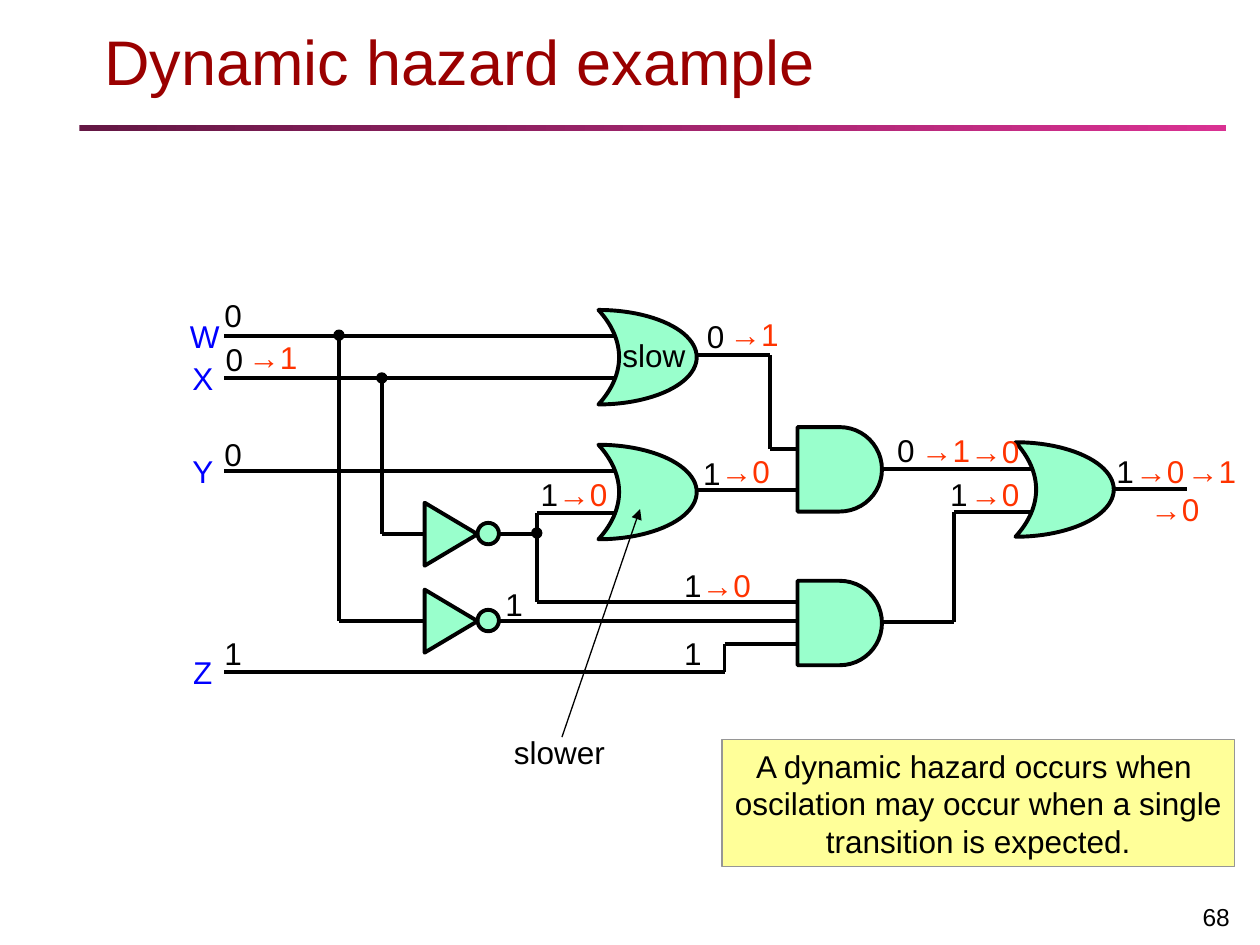
from pptx import Presentation
from pptx.dml.color import RGBColor
from pptx.enum.shapes import MSO_CONNECTOR, MSO_SHAPE as SHAPE
from pptx.enum.text import MSO_ANCHOR as ANCHOR, PP_ALIGN as ALIGN
from pptx.oxml.ns import qn
from pptx.util import Inches, Pt
from lxml.etree import SubElement

COLORS = {
    "black": "000000", "title": "9A0000", "rule_start": "641744", "rule_end": "D93192",
    "gate": "99FFCC", "input": "0000FF", "change": "FF3300",
    "note": "FFFF99", "note_line": "969696",
}
LABEL_HEIGHT = 0.4
DIGIT_WIDTH = 0.34
CHANGE_WIDTH = 0.59

WIRES = [
    [(1.78, 2.67), (4.88, 2.67)],
    [(1.78, 3), (4.88, 3)],
    [(1.78, 3.74), (4.88, 3.74)],
    [(2.69, 2.68), (2.69, 4.93), (6.34, 4.93)],
    [(3.03, 3), (3.03, 4.24), (4.22, 4.24)],
    [(4.88, 4.07), (4.26, 4.07), (4.26, 4.78), (6.33, 4.78)],
    [(1.78, 5.33), (5.75, 5.33), (5.75, 5.11), (6.33, 5.11)],
    [(5.53, 2.82), (6.11, 2.82), (6.11, 3.56), (6.33, 3.56)],
    [(5.53, 3.89), (6.33, 3.89)],
    [(7, 3.72), (8.18, 3.72)],
    [(7, 4.94), (7.57, 4.94), (7.57, 4.06), (8.18, 4.06)],
    [(8.83, 3.88), (9.42, 3.88)],
]
OR_GATES = [(4.75, 2.46), (4.75, 3.53), (8.06, 3.51)]
AND_GATES = [(6.33, 3.39), (6.33, 4.61)]
INVERTER_CENTERS = [4.24, 4.93]
JUNCTIONS = [(2.69, 2.66), (3.03, 3), (4.26, 4.23)]

INPUTS = [("W", 1.61, 2.47), ("X", 1.61, 2.8), ("Y", 1.61, 3.54), ("Z", 1.61, 5.13)]
VALUES = [
    ("0", 1.68, 2.3), ("0", 1.69, 2.65), ("0", 1.68, 3.4), ("1", 1.68, 4.98),
    ("1", 3.91, 4.59), ("1", 4.19, 3.72), ("1", 5.33, 4.44), ("1", 5.33, 4.98),
    ("0", 5.51, 2.47), ("1", 5.48, 3.55), ("1", 7.44, 3.72), ("0", 7.02, 3.37),
    ("1", 8.76, 3.54),
]
CHANGES = [
    ("→1", 1.87, 2.63), ("→0", 4.33, 3.72), ("→0", 5.47, 4.44), ("→0", 7.6, 3.72),
    ("→0", 8.91, 3.54), ("→1", 5.69, 2.45), ("→1", 7.21, 3.37), ("→1", 9.32, 3.54),
    ("→0", 5.62, 3.54), ("→0", 7.6, 3.38), ("→0", 9.03, 3.84),
]
NOTE = ("A dynamic hazard occurs when \n"
        "oscilation may occur when a single\n"
        "transition is expected.")


def rgb(name):
    return RGBColor.from_string(COLORS[name])


def write_text(box, text, size, color, align, anchor, wrap=False):
    frame = box.text_frame
    frame.word_wrap = wrap
    frame.vertical_anchor = anchor
    frame.text = text
    for para in frame.paragraphs:
        para.alignment = align
        for span in para.runs:
            span.font.size = Pt(size)
            span.font.name = "Arial"
            span.font.color.rgb = rgb(color)


def add_text(page, text, left, top, width, height=LABEL_HEIGHT, size=18, color="black",
             align=ALIGN.CENTER, anchor=ANCHOR.MIDDLE, wrap=False):
    box = page.shapes.add_textbox(Inches(left), Inches(top), Inches(width), Inches(height))
    write_text(box, text, size, color, align, anchor, wrap)


def add_block(page, kind, left, top, width, height, fill="gate", line="black", weight=2.25):
    block = page.shapes.add_shape(kind, Inches(left), Inches(top), Inches(width), Inches(height))
    block.shadow.inherit = False
    block.fill.solid()
    block.fill.fore_color.rgb = rgb(fill)
    block.line.color.rgb = rgb(line)
    block.line.width = Pt(weight)
    return block


def add_line(page, start, end, weight=2.25, arrow=False):
    x1, y1, x2, y2 = (Inches(value) for value in (*start, *end))
    line = page.shapes.add_connector(MSO_CONNECTOR.STRAIGHT, x1, y1, x2, y2)
    line.line.color.rgb = rgb("black")
    line.line.width = Pt(weight)
    if arrow:
        SubElement(line.line._get_or_add_ln(), qn("a:tailEnd"), type="triangle")
    SubElement(line._element.spPr, qn("a:effectLst"))


def add_wire(page, points):
    for start, end in zip(points, points[1:]):
        add_line(page, start, end)


def add_or_gate(page, left, top):
    gate = add_block(page, SHAPE.MOON, left, top, 0.78, 0.75)
    gate.adjustments[0] = 0.79
    gate._element.spPr.find(qn("a:xfrm")).set("flipH", "1")


def add_inverter(page, center):
    triangle = add_block(page, SHAPE.ISOSCELES_TRIANGLE, 3.33, center - 0.21, 0.5, 0.42)
    triangle.rotation = 90
    add_block(page, SHAPE.OVAL, 3.79, center - 0.09, 0.17, 0.17)


def add_heading(page):
    rule = add_block(page, SHAPE.RECTANGLE, 0.63, 0.99, 9.1, 0.05)
    rule.line.fill.background()
    rule.fill.gradient()
    rule.fill.gradient_angle = 0
    for stop, name in zip(rule.fill.gradient_stops, ("rule_start", "rule_end")):
        stop.color.rgb = rgb(name)
    add_text(page, "Dynamic hazard example", 0.73, 0.13, 8.93, 0.7, 36, "title",
             ALIGN.LEFT, ANCHOR.BOTTOM, True)
    add_text(page, "68", 9.3, 6.94, 0.56, 0.5, 14, "black", ALIGN.RIGHT, ANCHOR.BOTTOM, True)


def add_circuit(page):
    for points in WIRES:
        add_wire(page, points)
    for left, top in OR_GATES:
        add_or_gate(page, left, top)
    for left, top in AND_GATES:
        add_block(page, SHAPE.FLOWCHART_DELAY, left, top, 0.67, 0.67)
    for center in INVERTER_CENTERS:
        add_inverter(page, center)
    for x, y in JUNCTIONS:
        add_block(page, SHAPE.OVAL, x - 0.04, y - 0.04, 0.08, 0.08, "black", weight=0.75)


def add_labels(page):
    for text, center, top in INPUTS:
        add_text(page, text, center - 0.2, top, 0.4, color="input")
    for text, left, top in VALUES:
        add_text(page, text, left, top, DIGIT_WIDTH)
    add_text(page, "slow", 4.84, 2.62, 0.7)
    add_line(page, (4.46, 5.85), (5.08, 4.04), 0.75, arrow=True)
    add_text(page, "slower", 3.98, 5.77, 0.92)
    for text, left, top in CHANGES:
        add_text(page, text, left, top, CHANGE_WIDTH, color="change")


def add_note(page):
    note = add_block(page, SHAPE.RECTANGLE, 5.73, 5.87, 4.07, 1.01, "note", "note_line", 0.75)
    write_text(note, NOTE, 18, "black", ALIGN.CENTER, ANCHOR.MIDDLE)


def main():
    deck = Presentation()
    deck.slide_width = Inches(10)
    deck.slide_height = Inches(7.5)
    page = deck.slides.add_slide(deck.slide_layouts[6])
    add_heading(page)
    add_circuit(page)
    add_labels(page)
    add_note(page)
    deck.save("out.pptx")


if __name__ == "__main__":
    main()
